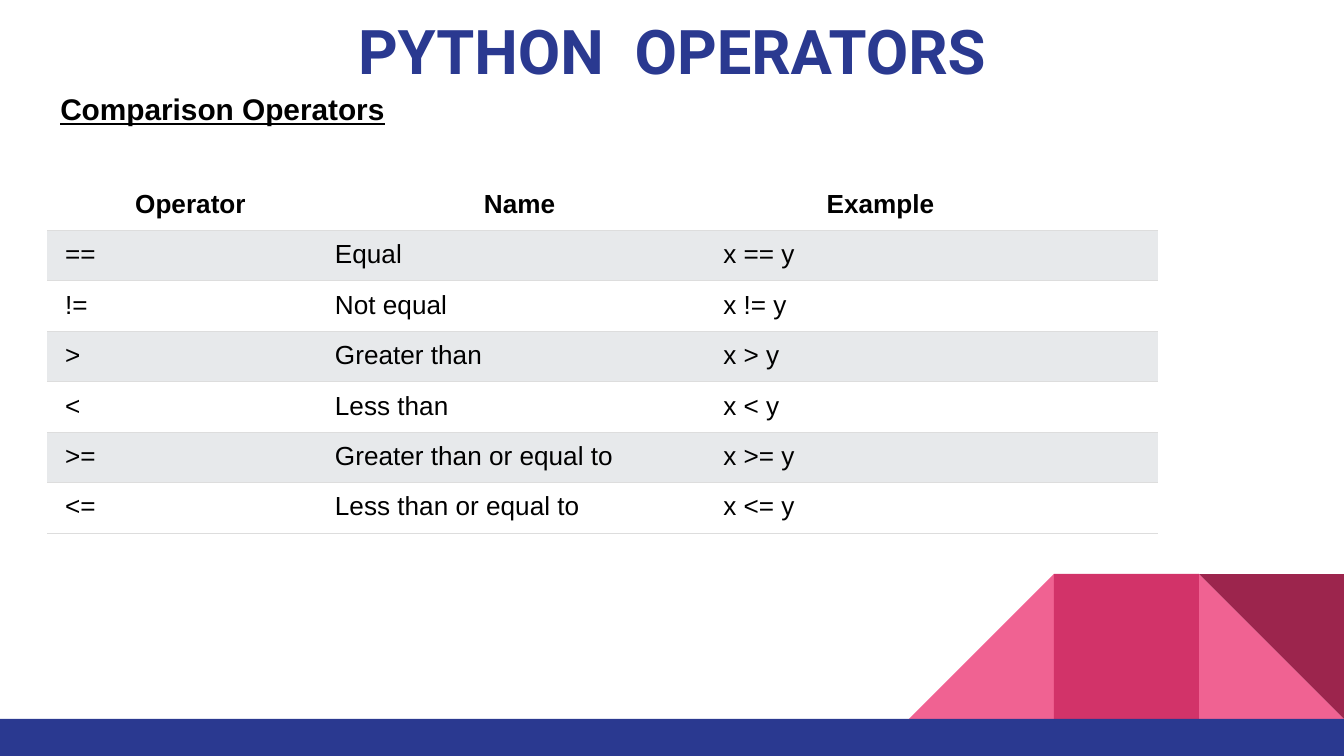
from dataclasses import dataclass

from lxml import etree
from pptx import Presentation
from pptx.dml.color import RGBColor
from pptx.enum.shapes import MSO_SHAPE
from pptx.enum.text import MSO_ANCHOR, PP_ALIGN
from pptx.oxml.ns import qn
from pptx.slide import Slide
from pptx.table import _Cell
from pptx.text.text import _Paragraph
from pptx.util import Cm, Pt

RECT, WEDGE = MSO_SHAPE.RECTANGLE, MSO_SHAPE.RIGHT_TRIANGLE
LEFT, MID = PP_ALIGN.LEFT, PP_ALIGN.CENTER
TOP = MSO_ANCHOR.TOP

WIDE, HIGH = 25.4, 14.29
SIDE = 2.74
FLOOR = 13.59
ROOF = FLOOR - SIDE
NAVY, PINK, ROSE, WINE = "2A3990", "F06292", "D23369", "9C254D"
WHITE, GREY, RULE, BLACK = "FFFFFF", "E7E9EB", "DDDDDD", "000000"

COLS = (5.26, 7.34, 6.3, 2.1)
ROW = 0.93
ROWS = (
    ("Operator", "Name", "Example", ""),
    ("==", "Equal", "x == y", ""),
    ("!=", "Not equal", "x != y", ""),
    (">", "Greater than", "x > y", ""),
    ("<", "Less than", "x < y", ""),
    (">=", "Greater than or equal to", "x >= y", ""),
    ("<=", "Less than or equal to", "x <= y", ""),
)


@dataclass(frozen=True)
class Block:
    form: MSO_SHAPE
    left: float
    top: float
    width: float
    height: float
    fill: str
    turn: int = 0


@dataclass(frozen=True)
class Label:
    text: str
    left: float
    top: float
    width: float
    height: float
    color: str
    align: PP_ALIGN
    font: dict


BLOCKS = (
    Block(WEDGE, WIDE - SIDE, ROOF, SIDE, SIDE, PINK),
    Block(WEDGE, WIDE - 3 * SIDE, ROOF, SIDE, SIDE, PINK, 270),
    Block(RECT, WIDE - 2 * SIDE, ROOF, SIDE, SIDE, ROSE),
    Block(WEDGE, WIDE - SIDE, ROOF, SIDE, SIDE, WINE, 180),
    Block(RECT, 0, FLOOR, WIDE, HIGH - FLOOR, NAVY),
)
LABELS = (
    Label("PYTHON  OPERATORS", 0, 0, WIDE, 1.68, NAVY, MID,
          {"name": "Roboto", "size": Pt(33), "bold": True}),
    Label("Comparison Operators", 0.89, 1.47, 23.62, 1.19, BLACK, LEFT,
          {"name": "Arial", "size": Pt(16), "bold": True, "underline": True}),
)


def tint(code: str) -> RGBColor:
    return RGBColor.from_string(code)


def apply(target: object, values: dict) -> None:
    for key, value in values.items():
        setattr(target, key, value)


def write(para: _Paragraph, text: str, color: str, align: PP_ALIGN, font: dict) -> None:
    para.alignment = align
    if not text:
        size = str(int(font["size"].pt * 100))
        etree.SubElement(para._p, qn("a:endParaRPr"), sz=size)
        return
    run = para.add_run()
    run.text = text
    apply(run.font, font)
    run.font.color.rgb = tint(color)


def draw_block(slide: Slide, item: Block) -> None:
    box = map(Cm, (item.left, item.top, item.width, item.height))
    shape = slide.shapes.add_shape(item.form, *box)
    shape.shadow.inherit = False
    shape.rotation = item.turn
    shape.fill.solid()
    shape.fill.fore_color.rgb = tint(item.fill)
    shape.line.fill.background()


def draw_label(slide: Slide, item: Label) -> None:
    box = map(Cm, (item.left, item.top, item.width, item.height))
    frame = slide.shapes.add_textbox(*box).text_frame
    pad = Cm(0.25)
    apply(frame, {"word_wrap": True, "vertical_anchor": TOP,
                  "margin_left": pad, "margin_right": pad,
                  "margin_top": pad, "margin_bottom": pad})
    write(frame.paragraphs[0], item.text, item.color, item.align, item.font)


def rule_cell(cell: _Cell, edges: str) -> None:
    props = cell._tc.get_or_add_tcPr()
    for side in "LRTB":
        line = etree.SubElement(props, qn(f"a:ln{side}"), w=str(Pt(0.6)))
        if side in edges:
            fill = etree.SubElement(line, qn("a:solidFill"))
            etree.SubElement(fill, qn("a:srgbClr"), val=RULE)
        else:
            etree.SubElement(line, qn("a:noFill"))


def draw_table(slide: Slide) -> None:
    box = map(Cm, (0.89, 3.4, sum(COLS), ROW * len(ROWS)))
    table = slide.shapes.add_table(len(ROWS), len(COLS), *box).table
    apply(table, {"first_row": False, "horz_banding": False})
    for col, width in zip(table.columns, COLS):
        col.width = Cm(width)
    pad = Cm(0.18)
    for r, words in enumerate(ROWS):
        table.rows[r].height = Cm(ROW)
        head = r == 0
        font = {"name": "Arial", "size": Pt(14), "bold": head}
        for c, text in enumerate(words):
            cell = table.cell(r, c)
            apply(cell, {"margin_left": Cm(0.34) if c == 0 else pad,
                         "margin_right": pad, "margin_top": pad,
                         "margin_bottom": pad, "vertical_anchor": TOP})
            rule_cell(cell, "B" if head else "TB")
            cell.fill.solid()
            cell.fill.fore_color.rgb = tint(GREY if r % 2 else WHITE)
            para = cell.text_frame.paragraphs[0]
            write(para, text, BLACK, MID if head else LEFT, font)


def main() -> None:
    deck = Presentation()
    apply(deck, {"slide_width": Cm(WIDE), "slide_height": Cm(HIGH)})
    slide = deck.slides.add_slide(deck.slide_layouts[6])
    for block in BLOCKS:
        draw_block(slide, block)
    for label in LABELS:
        draw_label(slide, label)
    draw_table(slide)
    deck.save("out.pptx")


if __name__ == "__main__":
    main()
